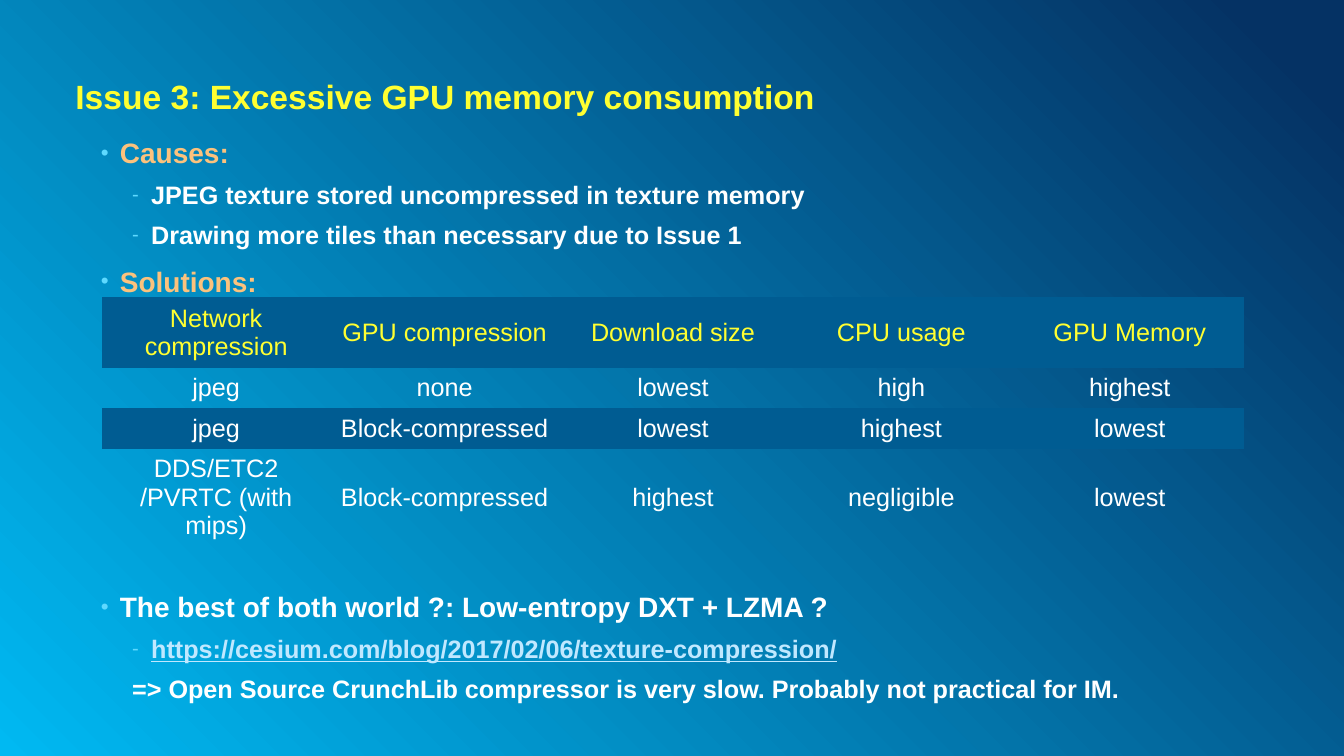
from lxml import etree
from pptx import Presentation
from pptx.dml.color import RGBColor
from pptx.enum.text import MSO_ANCHOR as Anchor, MSO_AUTO_SIZE as AutoSize, PP_ALIGN as Align
from pptx.oxml.ns import qn
from pptx.util import Cm, Pt

YELLOW = RGBColor(0xFF, 0xFF, 0x31)
WHITE = RGBColor(0xFF, 0xFF, 0xFF)
ORANGE = RGBColor(0xFB, 0xC2, 0x7D)
LINK_BLUE = RGBColor(0xC0, 0xE8, 0xFF)
BULLET_BLUE = RGBColor(0x5E, 0xD9, 0xFF)
BAND_BLUE = RGBColor(0x00, 0x5C, 0x92)
SKY = RGBColor(0x00, 0xB9, 0xF2)
NAVY = RGBColor(0x05, 0x32, 0x64)
PLAIN_TABLE = "{2D5ABB26-0587-4C30-8999-92F81FD0307C}"

TITLE = "Issue 3: Excessive GPU memory consumption"
TABLE_GAP = 201.6  # points left free for the table

# text, level, bullet, colour, space before
OUTLINE = [
    ("Causes:", 0, "•", ORANGE, 0),
    ("JPEG texture stored uncompressed in texture memory", 1, "-", WHITE, 0),
    ("Drawing more tiles than necessary due to Issue 1", 1, "-", WHITE, 0),
    ("Solutions:", 0, "•", ORANGE, 3),
    ("The best of both world ?: Low-entropy DXT + LZMA ?", 0, "•", WHITE, TABLE_GAP),
    ("https://cesium.com/blog/2017/02/06/texture-compression/", 1, "-", LINK_BLUE, 0),
    ("=> Open Source CrunchLib compressor is very slow. "
     "Probably not practical for IM.", 1, None, WHITE, 0),
]

COMPARISON = [
    ["Network compression", "GPU compression", "Download size", "CPU usage", "GPU Memory"],
    ["jpeg", "none", "lowest", "high", "highest"],
    ["jpeg", "Block-compressed", "lowest", "highest", "lowest"],
    ["DDS/ETC2\n/PVRTC (with mips)", "Block-compressed", "highest", "negligible", "lowest"],
]
ROW_HEIGHTS = [1.78, 1.02, 1.02, 2.44]


class SlideBuilder:
    """Holds the style and the current slide."""

    font_name = "Arial"

    def __init__(self, deck):
        self.slide = deck.slides.add_slide(deck.slide_layouts[1])

    def background(self, start, end):
        fill = self.slide.background.fill
        fill.gradient()
        for stop, color, position in zip(fill.gradient_stops, (start, end), (0, 0.95)):
            stop.color.rgb = color
            stop.position = position
        # Spread the gradient from the bottom left corner
        linear = next(self.slide.background._cSld.iter(qn("a:lin")))
        spread = etree.Element(qn("a:path"), path="circle")
        etree.SubElement(spread, qn("a:fillToRect"), t="100000", r="100000")
        linear.getparent().replace(linear, spread)

    def style(self, para, size, color, bold=False):
        for span in para.runs:
            span.font.name = self.font_name
            span.font.size = Pt(size)
            span.font.bold = bold
            span.font.color.rgb = color

    def place(self, box, left, top, width, height, anchor):
        box.left, box.top, box.width, box.height = map(Cm, (left, top, width, height))
        frame = box.text_frame
        frame.margin_left = frame.margin_right = frame.margin_top = frame.margin_bottom = 0
        frame.word_wrap = True
        frame.auto_size = AutoSize.NONE
        frame.vertical_anchor = anchor
        return frame

    def title(self, text, *area):
        frame = self.place(self.slide.shapes.title, *area, Anchor.BOTTOM)
        frame.text = text
        para = frame.paragraphs[0]
        para.alignment = Align.LEFT
        self.style(para, 24, YELLOW, bold=True)

    def bullet(self, para, level, mark):
        props = para._p.get_or_add_pPr()
        margin, hanging = (0.48, 0.48) if level == 0 else (1.27, 0.48)
        if mark is None:
            margin, hanging = 0.79, 0
        props.set("marL", str(Cm(margin)))
        props.set("indent", str(-Cm(hanging)))
        if mark is None:
            etree.SubElement(props, qn("a:buNone"))
            return
        color = etree.SubElement(props, qn("a:buClr"))
        etree.SubElement(color, qn("a:srgbClr"), val=str(BULLET_BLUE))
        etree.SubElement(props, qn("a:buSzPct"), val="80000")
        etree.SubElement(props, qn("a:buFont"), typeface=self.font_name)
        etree.SubElement(props, qn("a:buChar"), char=mark)

    def outline(self, items, *area):
        frame = self.place(self.slide.placeholders[1], *area, Anchor.TOP)
        frame.text = "\n".join(item[0] for item in items)
        for para, (_, level, mark, color, before) in zip(frame.paragraphs, items):
            para.level = level
            self.bullet(para, level, mark)
            para.alignment = Align.LEFT
            para.line_spacing = 1.05
            para.space_before = Pt(before)
            para.space_after = Pt(6)
            self.style(para, 18 if level else 20, color, bold=True)
            if color == LINK_BLUE:
                para.runs[0].font.underline = True

    def table(self, rows, heights, left, top, width):
        frame = self.slide.shapes.add_table(
            len(rows), len(rows[0]), Cm(left), Cm(top), Cm(width), Cm(sum(heights)))
        table = frame.table
        table.first_row = table.horz_banding = False
        next(table._tbl.iter(qn("a:tableStyleId"))).text = PLAIN_TABLE
        for row_index, (row, height) in enumerate(zip(rows, heights)):
            table.rows[row_index].height = Cm(height)
            for column_index, text in enumerate(row):
                cell = table.cell(row_index, column_index)
                cell.text = text
                cell.vertical_anchor = Anchor.MIDDLE
                if row_index % 2 == 0:
                    cell.fill.solid()
                    cell.fill.fore_color.rgb = BAND_BLUE
                else:
                    cell.fill.background()
                for para in cell.text_frame.paragraphs:
                    para.alignment = Align.CENTER
                    self.style(para, 18, WHITE if row_index else YELLOW)


def main():
    deck = Presentation()
    deck.slide_width, deck.slide_height = Cm(33.87), Cm(19.05)
    builder = SlideBuilder(deck)
    builder.background(SKY, NAVY)

    # Heading and outline
    builder.title(TITLE, 1.9, 1.9, 30.07, 1.02)
    builder.outline(OUTLINE, 2.54, 3.38, 28.8, 15.21)

    # Comparison of the compression options
    builder.table(COMPARISON, ROW_HEIGHTS, 2.57, 7.49, 28.78)

    deck.save("out.pptx")


if __name__ == "__main__":
    main()
